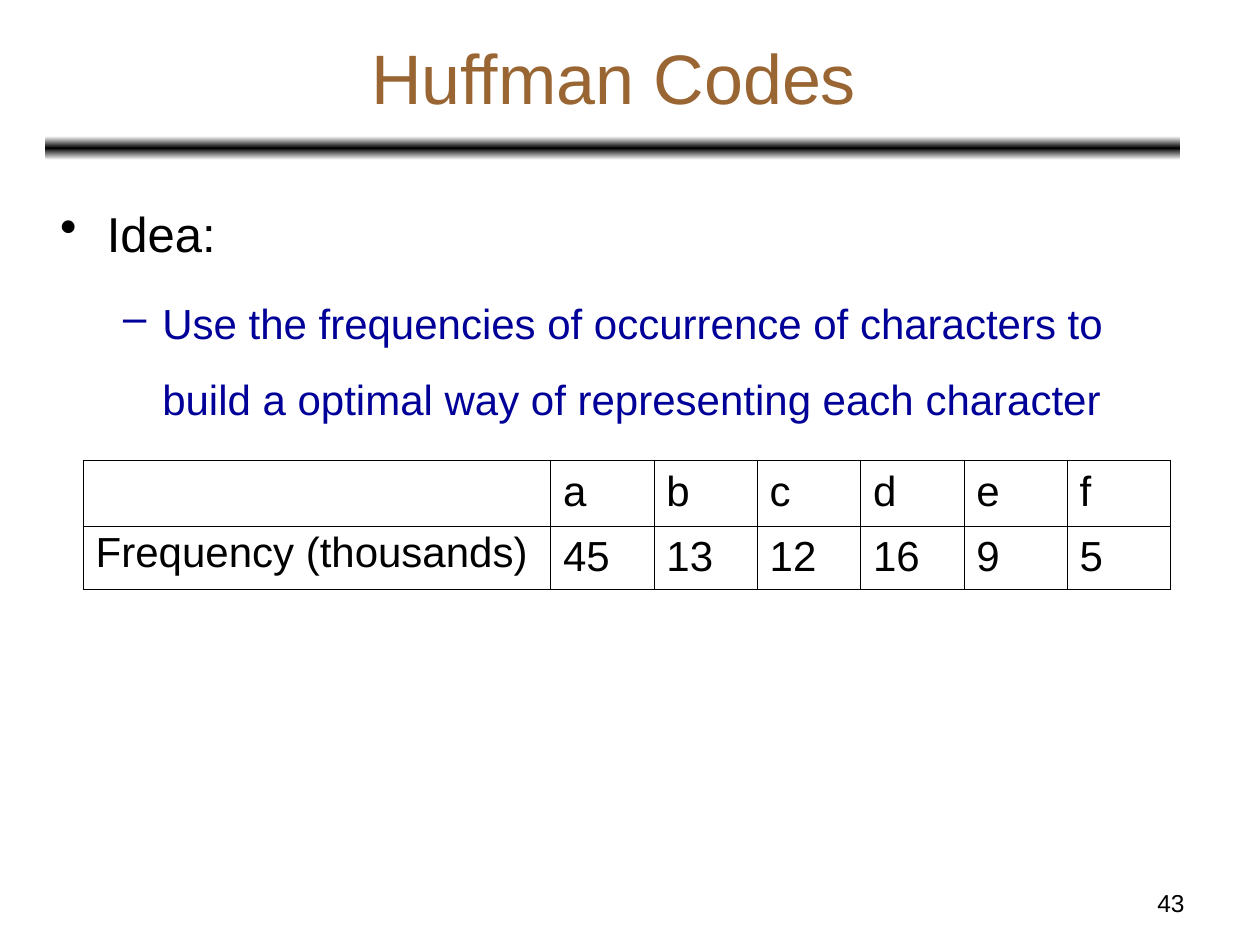
from copy import deepcopy

from lxml import etree
from pptx import Presentation
from pptx.dml.color import RGBColor
from pptx.enum.shapes import MSO_SHAPE
from pptx.enum.text import MSO_ANCHOR, PP_ALIGN
from pptx.oxml.ns import qn
from pptx.util import Inches, Pt

BLACK = RGBColor(0x00, 0x00, 0x00)
WHITE = RGBColor(0xFF, 0xFF, 0xFF)
BROWN = RGBColor(0x99, 0x66, 0x33)
NAVY = RGBColor(0x00, 0x00, 0x99)
ROUNDED = MSO_SHAPE.ROUNDED_RECTANGLE
TOP, MIDDLE = MSO_ANCHOR.TOP, MSO_ANCHOR.MIDDLE
LEFT, CENTER, RIGHT = PP_ALIGN.LEFT, PP_ALIGN.CENTER, PP_ALIGN.RIGHT
OUTER_LINE, INNER_LINE = Pt(0.5), Pt(0.23)

FREQUENCIES = {"a": 45, "b": 13, "c": 12, "d": 16, "e": 9, "f": 5}


class SlideBuilder:
    font_name = "Arial"

    def __init__(self, slide):
        self.slide = slide

    def add_run(self, paragraph, text, size, color):
        run = paragraph.add_run()
        run.text = text
        run.font.name = self.font_name
        run.font.size = Pt(size)
        run.font.color.rgb = color

    def text_frame(self, left, top, width, height, anchor=TOP):
        box = self.slide.shapes.add_textbox(
            Inches(left), Inches(top), Inches(width), Inches(height))
        frame = box.text_frame
        frame.word_wrap = True
        frame.vertical_anchor = anchor
        return frame

    def label(self, position, text, size, color, align, anchor=TOP):
        paragraph = self.text_frame(*position, anchor).paragraphs[0]
        paragraph.alignment = align
        self.add_run(paragraph, text, size, color)

    def bullet(self, paragraph, text, size, color, mark, level, margin, hanging):
        properties = paragraph._p.get_or_add_pPr()
        properties.set("marL", str(Inches(margin)))
        properties.set("indent", str(-Inches(hanging)))
        bullet_color = etree.SubElement(properties, qn("a:buClr"))
        etree.SubElement(bullet_color, qn("a:srgbClr"), val=str(color))
        etree.SubElement(properties, qn("a:buChar"), char=mark)
        paragraph.level = level
        paragraph.alignment = LEFT
        paragraph.line_spacing = 1.5
        self.add_run(paragraph, text, size, color)

    def gradient_bar(self, left, top, width, height):
        """Draw a bar that fades from black in the middle to white at both edges."""
        bar = self.slide.shapes.add_shape(
            ROUNDED, Inches(left), Inches(top), Inches(width), Inches(height))
        bar.shadow.inherit = False
        bar.line.fill.background()
        bar.fill.gradient()
        bar.fill.gradient_angle = 90
        stop_list = next(bar._element.spPr.iter(qn("a:gsLst")))
        stop_list.append(deepcopy(stop_list[0]))
        stops = zip(bar.fill.gradient_stops, (0, 0.5, 1), (WHITE, BLACK, WHITE))
        for stop, position, color in stops:
            stop.position = position
            stop.color.rgb = color

    def cell_borders(self, cell, widths):
        properties = cell._tc.get_or_add_tcPr()
        for index, (tag, width) in enumerate(widths.items()):
            line = etree.Element(qn(f"a:{tag}"), w=str(width))
            fill = etree.SubElement(line, qn("a:solidFill"))
            etree.SubElement(fill, qn("a:srgbClr"), val=str(BLACK))
            properties.insert(index, line)

    def table(self, left, top, column_widths, row_heights, rows):
        table = self.slide.shapes.add_table(
            len(rows), len(column_widths), Inches(left), Inches(top),
            Inches(sum(column_widths)), Inches(sum(row_heights))).table
        table.first_row = table.horz_banding = False
        for column, width in zip(table.columns, column_widths):
            column.width = Inches(width)
        for row, height in zip(table.rows, row_heights):
            row.height = Inches(height)
        last_row, last_column = len(rows) - 1, len(column_widths) - 1
        for r, values in enumerate(rows):
            for c, value in enumerate(values):
                cell = table.cell(r, c)
                cell.fill.background()
                cell.vertical_anchor = MIDDLE if c else TOP
                outer_edges = {"lnL": c == 0, "lnR": c == last_column,
                               "lnT": r == 0, "lnB": r == last_row}
                self.cell_borders(cell, {
                    tag: OUTER_LINE if outer else INNER_LINE
                    for tag, outer in outer_edges.items()})
                if value != "":
                    paragraph = cell.text_frame.paragraphs[0]
                    paragraph.line_spacing = 0.93
                    self.add_run(paragraph, str(value), 24, BLACK)


def main():
    presentation = Presentation()
    presentation.slide_width = Inches(10)
    presentation.slide_height = Inches(7.5)
    slide = presentation.slides.add_slide(presentation.slide_layouts[6])
    builder = SlideBuilder(slide)

    builder.gradient_bar(0.36, 1.08, 9.01, 0.19)
    builder.label((7.17, 7, 2.33, 0.35), "43", 14, BLACK, RIGHT)
    builder.label((0.37, 0.11, 9, 0.99), "Huffman Codes", 40, BROWN, CENTER, MIDDLE)

    body = builder.text_frame(0.38, 1.33, 9, 5.55)
    builder.bullet(body.paragraphs[0], "Idea:", 28, BLACK, "•", 0, 0.37, 0.37)
    detail = body.add_paragraph()
    builder.bullet(
        detail,
        "Use the frequencies of occurrence of characters to "
        "build a optimal way of representing each character",
        24, NAVY, "–", 1, 0.81, 0.31)
    detail.space_before = Pt(6)

    builder.table(
        0.66, 3.65, [3.71] + [0.82] * len(FREQUENCIES), [0.53, 0.5],
        [["", *FREQUENCIES], ["Frequency (thousands)", *FREQUENCIES.values()]])

    presentation.save("out.pptx")


if __name__ == "__main__":
    main()
